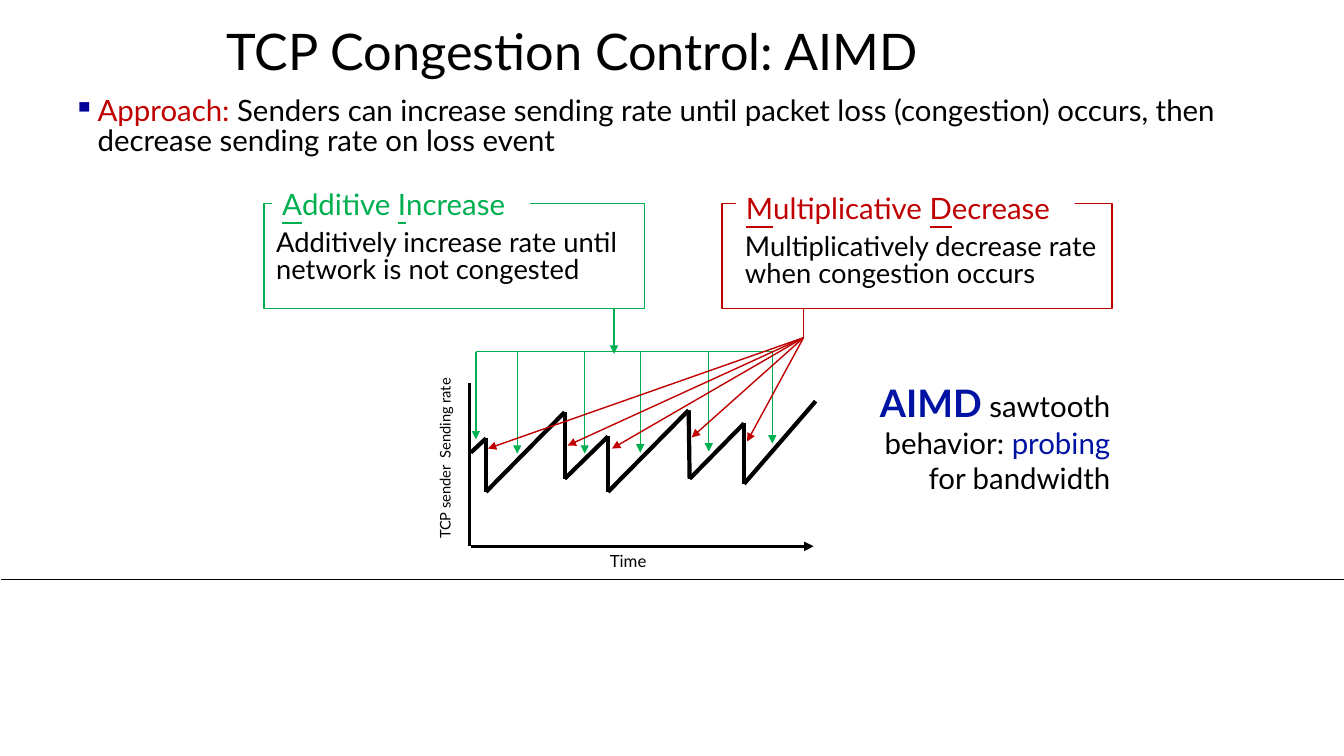
from itertools import pairwise

from lxml.etree import SubElement
from pptx import Presentation
from pptx.dml.color import RGBColor
from pptx.enum.shapes import MSO_CONNECTOR, MSO_SHAPE
from pptx.enum.text import MSO_ANCHOR, MSO_AUTO_SIZE, PP_ALIGN
from pptx.oxml.ns import qn
from pptx.util import Inches, Pt

FONT = "Lato"
BLACK, WHITE = "000000", "FFFFFF"
GREEN, RED, BLUE, NAVY = "00B050", "C00000", "0013A3", "000099"

TEETH = [(4.67, 4.49), (4.82, 4.35), (4.82, 4.88), (5.6, 4.09),
         (5.6, 4.75), (6.03, 4.33), (6.03, 4.88), (6.83, 4.07),
         (6.84, 4.75), (7.38, 4.2), (7.38, 4.8), (8.09, 3.98)]
RISES = [(4.72, 4.36), (5.13, 4.5), (5.8, 4.5),
         (6.35, 4.49), (7.03, 4.48), (7.66, 4.4)]
DROPS = [(7.41, 4.38), (4.84, 4.45), (5.63, 4.42), (6.07, 4.45), (6.86, 4.34)]
BAR = 3.49
HUB = (7.97, 3.35)


def color(code):
    return RGBColor.from_string(code)


def write(shape, *paras, size=21, tint=BLACK, align=PP_ALIGN.LEFT, space=None,
          anchor=MSO_ANCHOR.TOP, wrap=True, indent=0, bullet=None):
    """Fill shape with paragraphs, each a list of (text, format) runs."""
    frame = shape.text_frame
    frame.auto_size = MSO_AUTO_SIZE.NONE
    frame.word_wrap = wrap
    frame.vertical_anchor = anchor
    for num, runs in enumerate(paras):
        para = frame.add_paragraph() if num else frame.paragraphs[0]
        para.alignment = align
        para.line_spacing = space
        props = para._p.get_or_add_pPr()
        if indent:
            props.set("marL", str(Inches(indent)))
        if bullet:
            props.set("indent", str(-Inches(indent)))
            shade = SubElement(props, qn("a:buClr"))
            SubElement(shade, qn("a:srgbClr"), val=NAVY)
            SubElement(props, qn("a:buChar"), char=bullet)
        for text, style in runs:
            run = para.add_run()
            run.text = text
            font = run.font
            font.name = FONT
            font.size = Pt(style.get("size", size))
            font.color.rgb = color(style.get("tint", tint))
            font.bold = style.get("bold", False)
            font.underline = style.get("under", False)


def label(slide, box, *paras, **style):
    shape = slide.shapes.add_textbox(*map(Inches, box))
    write(shape, *paras, **style)
    return shape


def panel(slide, box, edge=None):
    shape = slide.shapes.add_shape(MSO_SHAPE.RECTANGLE, *map(Inches, box))
    shape.shadow.inherit = False
    shape.fill.solid()
    shape.fill.fore_color.rgb = color(WHITE)
    if edge:
        shape.line.color.rgb = color(edge)
        shape.line.width = Pt(1)
    else:
        shape.line.fill.background()
    return shape


def line(slide, start, end, tint=BLACK, width=1, arrow=False):
    ends = map(Inches, (*start, *end))
    link = slide.shapes.add_connector(MSO_CONNECTOR.STRAIGHT, *ends)
    link.line.color.rgb = color(tint)
    link.line.width = Pt(width)
    if arrow:
        SubElement(link.line._get_or_add_ln(), qn("a:tailEnd"), type="triangle")
    SubElement(link._element.spPr, qn("a:effectLst"))


def card(slide, frame, body, head, text, words, tint):
    """Draw a framed note whose heading, with underlined initials, cuts its top edge."""
    panel(slide, frame, tint)
    label(slide, body, [(text, {})], size=19.5, space=0.85, indent=0.38)
    runs = []
    for num, word in enumerate(words):
        gap = " " if num < len(words) - 1 else ""
        runs += [(word[0], {"under": True}), (word[1:] + gap, {})]
    write(panel(slide, head), runs, tint=tint, space=0.85)


def graph(slide):
    for start, end in pairwise(TEETH):
        line(slide, start, end, width=3)
    side = panel(slide, (3.4, 4.29, 2.03, 0.28))
    side.rotation = 270
    write(side, [("TCP sender\u00a0 Sending rate", {})], size=10.5)
    line(slide, (4.67, 5.42), (8.07, 5.42), width=2.25, arrow=True)
    line(slide, (4.66, 3.8), (4.66, 5.42), width=2.25)
    label(slide, (5.95, 5.41, 0.58, 0.3), [("Time", {})], size=12, wrap=False)


def arrows(slide):
    for x, y in RISES:
        line(slide, (x, BAR), (x, y), GREEN, arrow=True)
    line(slide, (RISES[0][0], BAR), (RISES[-1][0], BAR), GREEN)
    line(slide, (6.09, 3.06), (6.09, 3.51), GREEN, arrow=True)
    for tip in DROPS:
        line(slide, HUB, tip, RED, arrow=True)
    line(slide, HUB, (HUB[0], 3.06), RED)


def main():
    deck = Presentation()
    deck.slide_width, deck.slide_height = Inches(13.33), Inches(7.5)
    slide = deck.slides.add_slide(deck.slide_layouts[5])
    line(slide, (0.01, 5.75), (13.33, 5.75), width=0.5)

    title = slide.shapes.title
    title.left, title.top = Inches(2.15), Inches(0.17)
    title.width, title.height = Inches(9.34), Inches(0.73)
    write(title, [("TCP Congestion Control: AIMD", {})], size=36, space=0.9,
          anchor=MSO_ANCHOR.MIDDLE)

    label(slide, (0.63, 0.92, 12.06, 1.19),
          [("Approach: ", {"tint": RED}),
           ("Senders can increase sending rate until packet loss (congestion) "
            "occurs, then decrease sending rate on loss event", {})],
          space=0.85, indent=0.24, bullet="▪")
    label(slide, (8.43, 3.72, 2.68, 1.26),
          [("AIMD", {"size": 27, "tint": BLUE, "bold": True}), (" sawtooth", {})],
          [("behavior: ", {}), ("probing", {"tint": BLUE})],
          [("for bandwidth", {})], align=PP_ALIGN.RIGHT)

    graph(slide)
    card(slide, (2.62, 2.02, 3.77, 1.04), (2.26, 2.23, 4.15, 1.19),
         (2.7, 1.85, 2.56, 0.36),
         "Additively increase rate until network is not congested",
         ("Additive", "Increase"), GREEN)
    card(slide, (7.16, 2.02, 3.87, 1.04), (6.91, 2.27, 4.12, 0.68),
         (7.3, 1.89, 3.36, 0.36),
         "Multiplicatively decrease rate when congestion occurs",
         ("Multiplicative", "Decrease"), RED)
    arrows(slide)
    deck.save("out.pptx")


if __name__ == "__main__":
    main()
